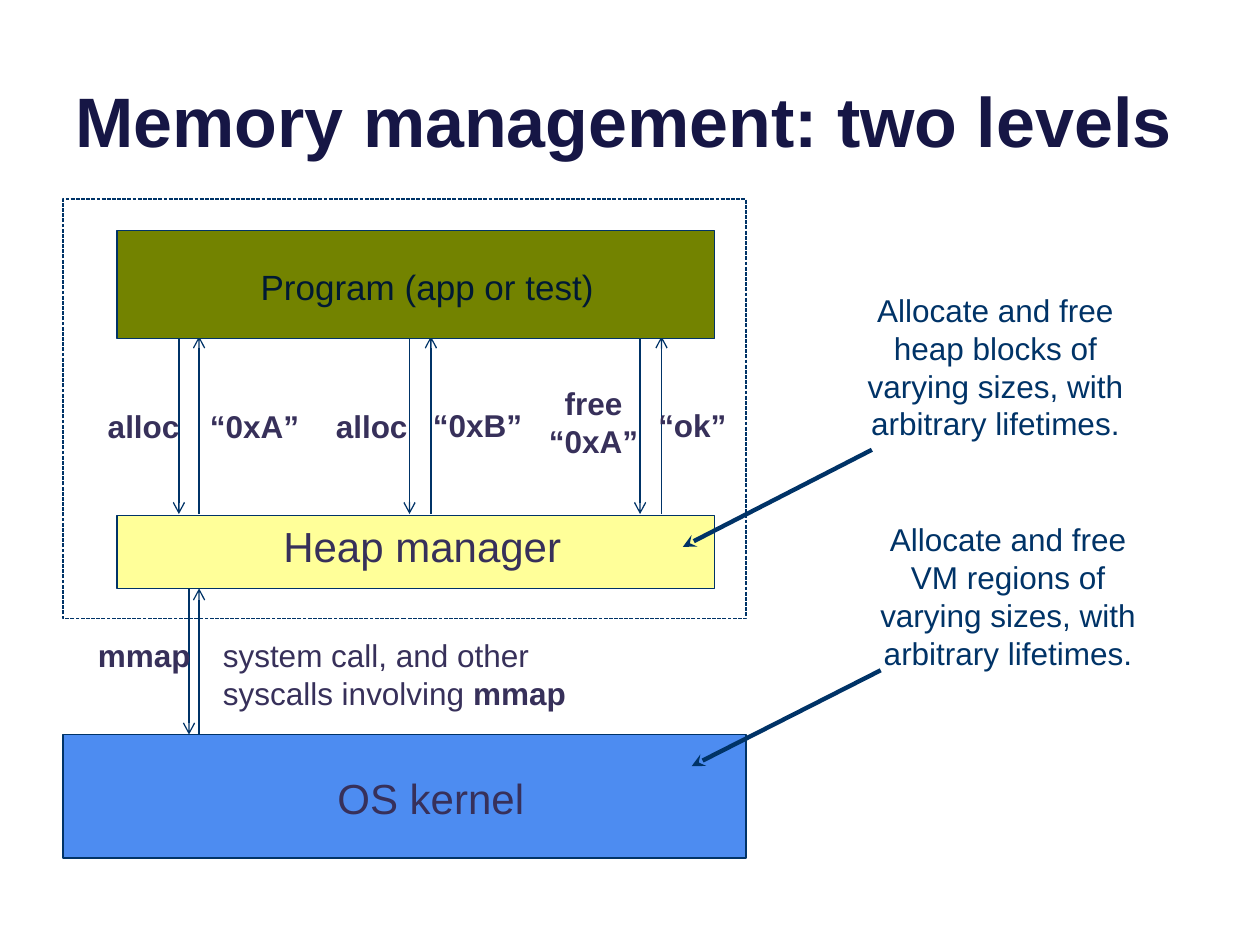
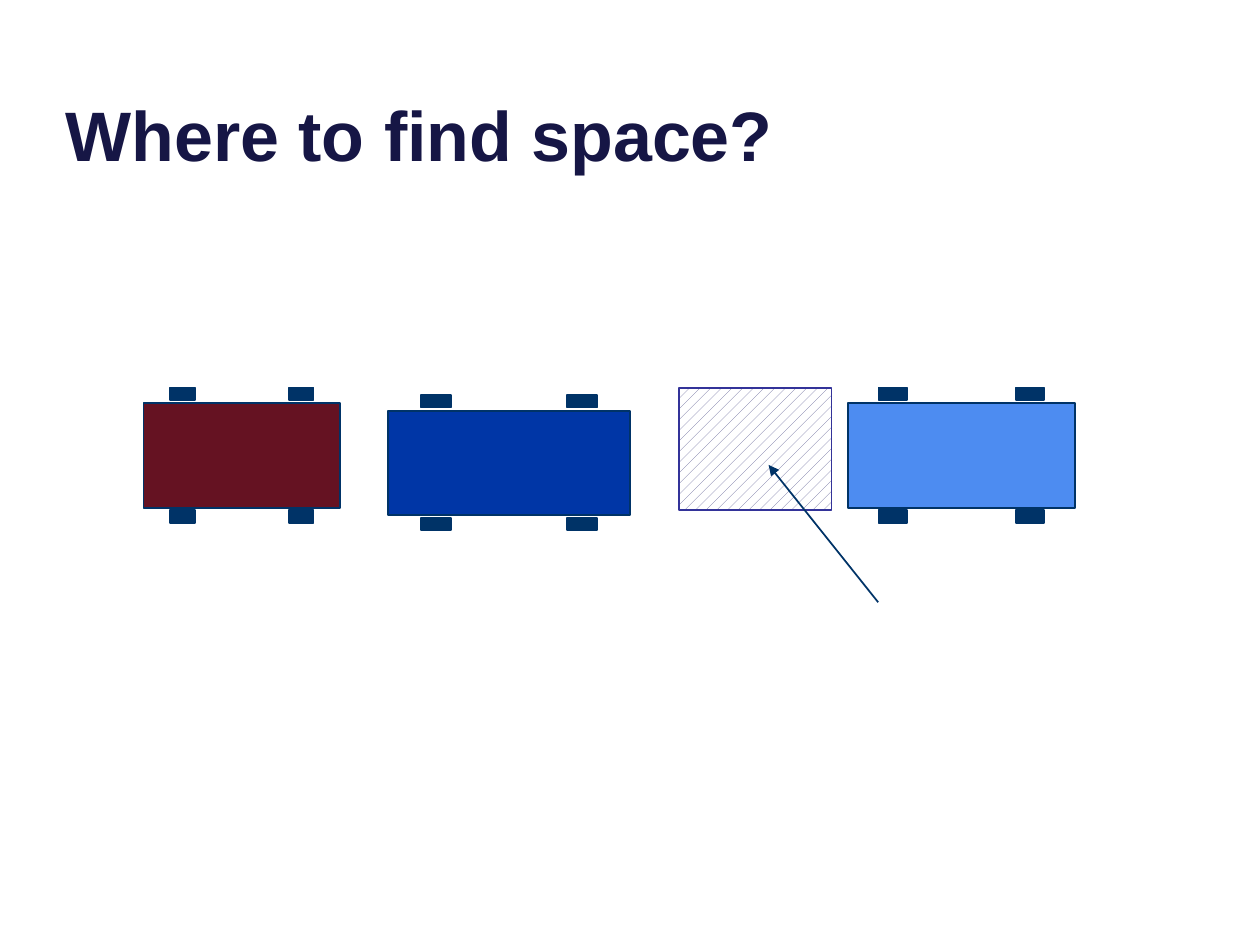
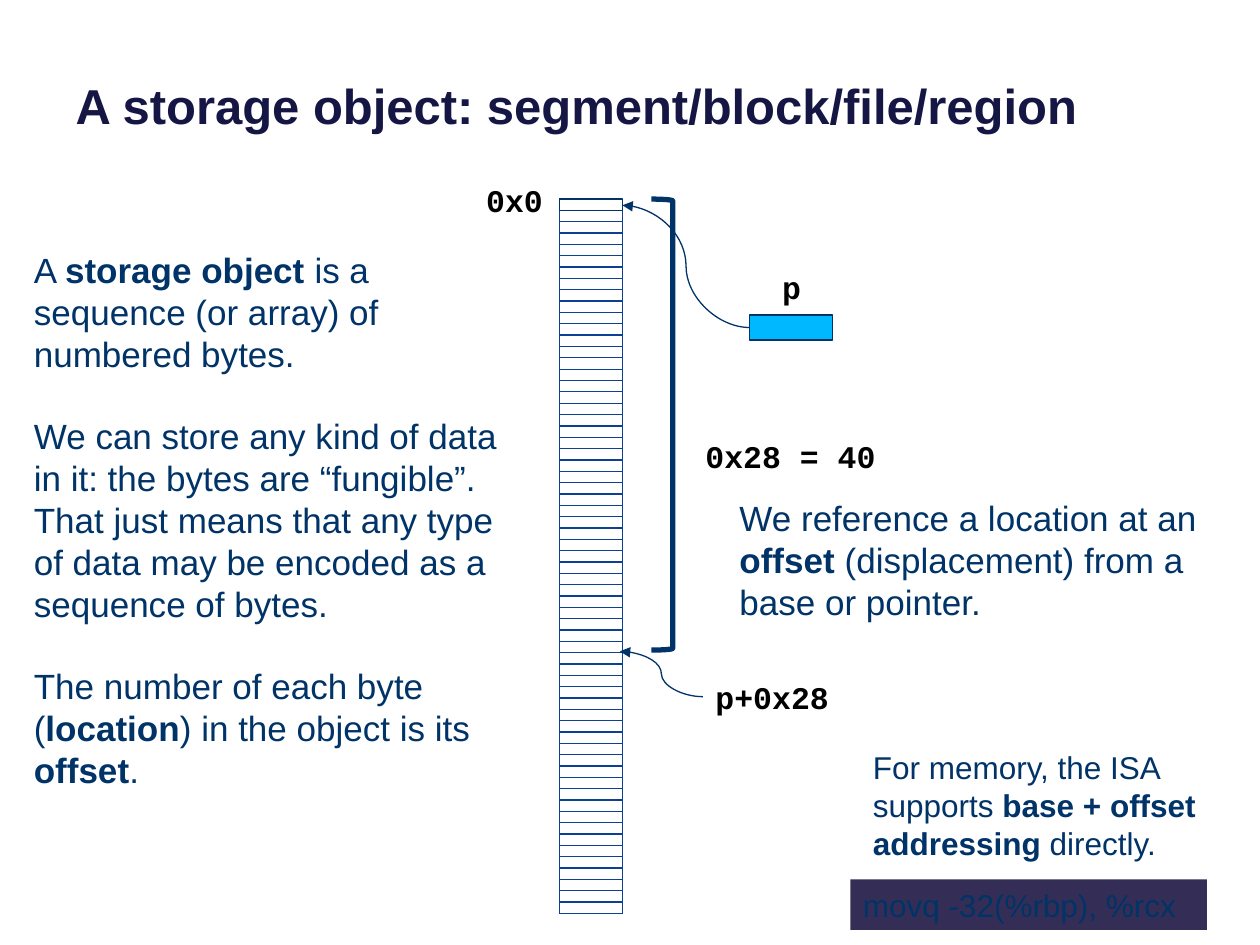
"""Build three slides on heap memory, free space and storage objects."""
from dataclasses import dataclass
from typing import Optional

from lxml.etree import SubElement
from pptx import Presentation
from pptx.dml.color import RGBColor
from pptx.enum.dml import MSO_LINE, MSO_PATTERN
from pptx.enum.shapes import MSO_CONNECTOR, MSO_SHAPE
from pptx.enum.text import MSO_ANCHOR, MSO_AUTO_SIZE, PP_ALIGN
from pptx.oxml.ns import qn
from pptx.shapes.autoshape import Shape
from pptx.slide import Slide
from pptx.text.text import TextFrame
from pptx.util import Inches, Pt


@dataclass(frozen=True)
class Theme:
    sans: str = "Arial"
    mono: str = "Courier New"
    title: str = "161645"
    navy: str = "003367"
    plum: str = "37305A"
    ink: str = "001934"
    black: str = "000000"
    grid: str = "0C4093"
    sky: str = "4D8CF1"
    blue: str = "0036A6"
    cyan: str = "00B8FF"
    red: str = "651222"
    olive: str = "738300"
    cream: str = "FFFF99"
    band: str = "342E56"
    hatch: str = "666699"
    edge: str = "333399"
    white: str = "FFFFFF"
    small: int = 18
    body: int = 20
    large: int = 24
    head: int = 28
    big: int = 40
    thin: float = 0.75
    fine: float = 1
    thick: float = 2.5
    heavy: float = 3


THEME = Theme()


@dataclass(frozen=True)
class Note:
    """Text in a box; parts between asterisks are bold and newlines part paragraphs."""
    text: str
    left: float
    top: float
    width: float
    height: float
    size: int = THEME.small
    color: str = THEME.plum
    font: str = THEME.sans
    bold: bool = False
    center: bool = False
    wrap: bool = False
    gap: float = 0


@dataclass(frozen=True)
class Box:
    left: float
    top: float
    width: float
    height: float
    fill: Optional[str] = None
    line: Optional[str] = THEME.navy
    weight: float = THEME.thin
    kind: MSO_SHAPE = MSO_SHAPE.RECTANGLE


@dataclass(frozen=True)
class Link:
    start: tuple[float, float]
    end: tuple[float, float]
    color: str = THEME.navy
    weight: float = THEME.thin
    tip: Optional[str] = None
    kind: MSO_CONNECTOR = MSO_CONNECTOR.STRAIGHT


@dataclass(frozen=True)
class Car:
    left: float
    top: float
    width: float
    fill: str


def rgb(code: str) -> RGBColor:
    return RGBColor.from_string(code)


def fill_text(frame: TextFrame, note: Note) -> None:
    """Write the text of a note and format its runs."""
    frame.text = note.text
    for index, para in enumerate(frame.paragraphs):
        head, *rest = para.text.split("*")
        para.text = head
        for part in rest:
            para.add_run().text = part
        para.alignment = PP_ALIGN.CENTER if note.center else PP_ALIGN.LEFT
        para.space_before = Pt(note.gap if index else 0)
        for place, run in enumerate(para.runs):
            run.font.name = note.font
            run.font.size = Pt(note.size)
            run.font.bold = note.bold or place % 2 == 1
            run.font.color.rgb = rgb(note.color)


def add_note(slide: Slide, note: Note) -> None:
    shape = slide.shapes.add_textbox(Inches(note.left), Inches(note.top),
                                     Inches(note.width), Inches(note.height))
    frame = shape.text_frame
    frame.word_wrap = note.wrap
    frame.auto_size = MSO_AUTO_SIZE.SHAPE_TO_FIT_TEXT
    fill_text(frame, note)


def add_box(slide: Slide, box: Box) -> Shape:
    shape = slide.shapes.add_shape(box.kind, Inches(box.left), Inches(box.top),
                                   Inches(box.width), Inches(box.height))
    shape.shadow.inherit = False
    if box.fill:
        shape.fill.solid()
        shape.fill.fore_color.rgb = rgb(box.fill)
    else:
        shape.fill.background()
    if box.line:
        shape.line.color.rgb = rgb(box.line)
        shape.line.width = Pt(box.weight)
    else:
        shape.line.fill.background()
    return shape


def add_link(slide: Slide, link: Link) -> None:
    """Draw a line or curve, with a tip at its end if one is named."""
    (left, top), (right, base) = link.start, link.end
    shape = slide.shapes.add_connector(link.kind, Inches(left), Inches(top),
                                       Inches(right), Inches(base))
    shape.line.color.rgb = rgb(link.color)
    shape.line.width = Pt(link.weight)
    if link.tip:
        SubElement(shape.line._get_or_add_ln(), qn("a:tailEnd"), type=link.tip)
    SubElement(shape._element.spPr, qn("a:effectLst"))


def add_car(slide: Slide, car: Car) -> None:
    """Draw a car from above, its wheels set in proportion to its width."""
    add_box(slide, Box(car.left, car.top, car.width, 0.83, car.fill, weight=THEME.fine))
    for share in (0.135, 0.74):
        for drop in (-0.125, 0.85):
            add_box(slide, Box(car.left + share * car.width, car.top + drop,
                               0.125 * car.width, 0.1, THEME.navy, weight=THEME.fine))


def add_slide(deck: Presentation, note: Note) -> Slide:
    """Add a title-only slide and place its title."""
    slide = deck.slides.add_slide(deck.slide_layouts[5])
    title = slide.shapes.title
    title.left, title.top = Inches(note.left), Inches(note.top)
    title.width, title.height = Inches(note.width), Inches(note.height)
    frame = title.text_frame
    frame.word_wrap = True
    frame.auto_size = MSO_AUTO_SIZE.NONE
    frame.vertical_anchor = MSO_ANCHOR.BOTTOM
    fill_text(frame, note)
    return slide


def title_note(text: str, left: float, top: float, width: float, size: int) -> Note:
    return Note(text, left, top, width, 1.7, size, THEME.title, bold=True)


def label(text: str, left: float, top: float, width: float, height: float = 0.4) -> Note:
    return Note(text, left, top, width, height, bold=True, center=True)


def aside(text: str, left: float, top: float) -> Note:
    return Note(text, left, top, 2.42, 1.31, color=THEME.navy, center=True, wrap=True)


def code(text: str, left: float, top: float, width: float) -> Note:
    return Note(text, left, top, width, 0.4, color=THEME.black, font=THEME.mono, bold=True)


def prose(text: str, left: float, top: float, width: float, height: float,
          size: int = THEME.body) -> Note:
    return Note(text, left, top, width, height, size, THEME.navy, wrap=True, gap=23)


def draw_levels(deck: Presentation) -> None:
    slide = add_slide(deck, title_note("Memory management: two levels",
                                       0.5, -0.37, 9, THEME.big))
    calls = [(1.42, 1.58, 2.67, 4.08), (3.25, 3.42, 2.67, 4.08),
             (5.08, 5.25, 2.67, 4.08), (1.5, 1.58, 4.67, 5.83)]
    for down, up, top, base in calls:
        add_link(slide, Link((down, top), (down, base), tip="arrow"))
        add_link(slide, Link((up, base), (up, top), tip="arrow"))
    for box in (Box(0.5, 5.83, 5.42, 0.98, THEME.sky),
                Box(0.93, 4.09, 4.74, 0.58, THEME.cream),
                Box(0.93, 1.83, 4.74, 0.86, THEME.olive)):
        add_box(slide, box)
    frame = add_box(slide, Box(0.5, 1.58, 5.42, 3.33))
    frame.line.dash_style = MSO_LINE.SQUARE_DOT
    for start, end in (((6.92, 3.57), (5.42, 4.34)), ((6.99, 5.32), (5.49, 6.08))):
        add_link(slide, Link(start, end, weight=THEME.thick, tip="stealth"))
    notes = [
        Note("Heap manager", 2.15, 4.08, 2.43, 0.5, THEME.large),
        Note("OS kernel", 2.58, 6.08, 1.7, 0.5, THEME.large),
        Note("Program (app or test)", 1.97, 2.06, 2.87, 0.44, THEME.body, THEME.ink),
        label("alloc", 0.75, 3.18, 0.78),
        label("alloc", 2.56, 3.18, 0.78),
        label("free\n“0xA”", 4.25, 3, 0.92, 0.71),
        label("“0xA”", 1.56, 3.18, 0.92),
        label("“0xB”", 3.33, 3.17, 0.92),
        label("“ok”", 5.12, 3.17, 0.75),
        label("mmap", 0.67, 5, 0.95),
        aside("Allocate and free heap blocks of varying sizes, with arbitrary lifetimes.",
              6.69, 2.26),
        aside("Allocate and free VM regions of varying sizes, with arbitrary lifetimes.",
              6.79, 4.08),
        Note("system call, and other\nsyscalls involving *mmap", 1.67, 5, 2.98, 0.71),
    ]
    for note in notes:
        add_note(slide, note)


def draw_space(deck: Presentation) -> None:
    slide = add_slide(deck, title_note("Where to find space?", 0.42, -0.26, 8.83, THEME.big))
    for car in (Car(3.08, 3.26, 1.92, THEME.blue), Car(1.14, 3.2, 1.56, THEME.red),
                Car(6.73, 3.2, 1.8, THEME.sky)):
        add_car(slide, car)
    space = add_box(slide, Box(5.39, 3.08, 1.21, 0.97, line=THEME.edge, weight=THEME.fine))
    space.fill.patterned()
    space.fill.pattern = MSO_PATTERN.PERCENT_20
    space.fill.fore_color.rgb = rgb(THEME.hatch)
    space.fill.back_color.rgb = rgb(THEME.white)
    add_link(slide, Link((6.97, 4.78), (6.1, 3.69), weight=THEME.fine, tip="triangle"))


def draw_store(deck: Presentation) -> None:
    slide = add_slide(deck, title_note("A storage object: segment/block/file/region",
                                       0.5, -0.58, 9, THEME.head))
    left, right, top, step, count = 4.44, 4.94, 1.58, 0.09, 63
    base = top + count * step
    for index in range(count + 1):
        level = top + index * step
        add_link(slide, Link((left, level), (right, level), THEME.grid))
    for side in (left, right):
        add_link(slide, Link((side, base), (side, top), THEME.grid))
    add_box(slide, Box(left, top, right - left, step))
    add_box(slide, Box(5.95, 2.5, 0.66, 0.2, THEME.cyan))
    bracket = add_box(slide, Box(5.17, top, 0.17, 3.58, weight=THEME.heavy,
                                 kind=MSO_SHAPE.RIGHT_BRACKET))
    bracket.adjustments[0] = 0.084
    for start, end in (((5.95, 2.6), (4.94, 1.63)), ((5.58, 5.53), (4.92, 5.17))):
        add_link(slide, Link(start, end, tip="triangle", kind=MSO_CONNECTOR.CURVE))
    notes = [
        code("0x0", 3.76, 1.39, 0.65),
        code("p", 6.11, 2.08, 0.58),
        code("0x28 = 40", 5.5, 3.42, 1.56),
        code("p+0x28", 5.58, 5.33, 1.17),
        prose("A *storage object *is a sequence (or array) of numbered bytes.\n"
              "We can store any kind of data in it: the bytes are “fungible”. That just "
              "means that any type of data may be encoded as a sequence of bytes.\n"
              "The number of each byte (*location*) in the object is its *offset*.",
              0.17, 1.92, 3.92, 4.48),
        prose("We reference a location at an *offset *(displacement) from a base or pointer.",
              5.77, 3.89, 3.92, 1.11),
        prose("For memory, the ISA supports *base + offset addressing* directly.",
              6.83, 5.89, 3, 1.01, THEME.small),
    ]
    for note in notes:
        add_note(slide, note)
    band = Box(6.75, 6.98, 2.83, 0.4, THEME.band, line=None)
    shape = add_box(slide, band)
    fill_text(shape.text_frame, prose("movq -32(%rbp), %rcx", band.left, band.top,
                                      band.width, band.height, THEME.small))


def main() -> None:
    deck = Presentation()
    deck.slide_width, deck.slide_height = Inches(10), Inches(7.5)
    for draw in (draw_levels, draw_space, draw_store):
        draw(deck)
    deck.save("out.pptx")


if __name__ == "__main__":
    main()
